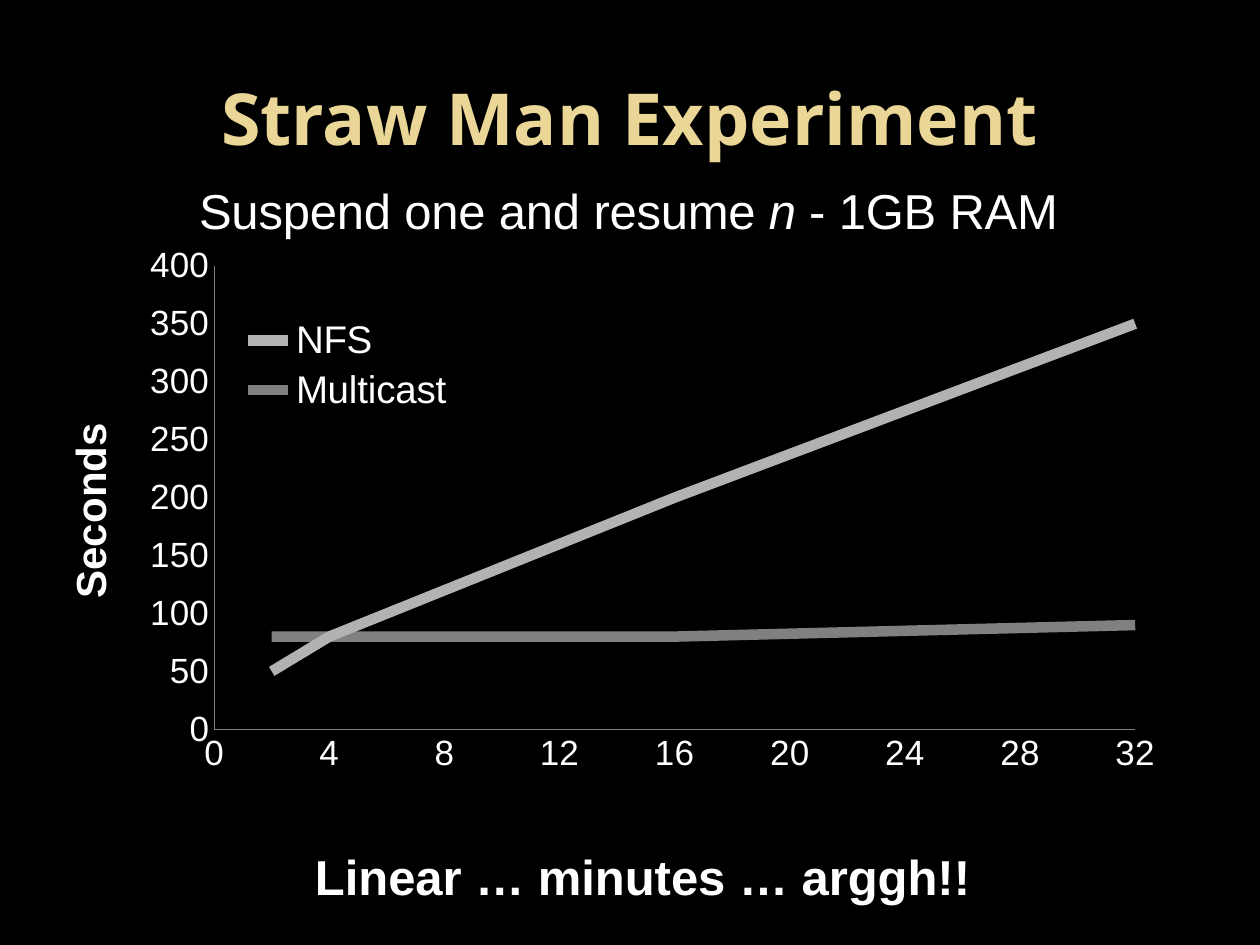
from lxml.etree import SubElement
from pptx import Presentation
from pptx.chart.data import XyChartData
from pptx.dml.color import RGBColor
from pptx.enum.chart import XL_CHART_TYPE, XL_LEGEND_POSITION, XL_TICK_MARK
from pptx.enum.text import MSO_ANCHOR, PP_ALIGN
from pptx.oxml.ns import qn
from pptx.util import Inches, Pt

TITLE = "Straw Man Experiment"
CHART_TITLE = [("Suspend one and resume ", False), ("n", True), (" - 1GB RAM", False)]
VALUE_TITLE = "Seconds"
CONCLUSION = "Linear … minutes … arggh!!"
MACHINES = [2, 4, 8, 16, 32]
SERIES = [
    ("NFS", "B2B2B2", [50, 80, 120, 200, 350]),
    ("Multicast", "808080", [80, 80, 80, 80, 90]),
]
WHITE, GOLD, GREY, BLACK = "FFFFFF", "EAD696", "808080", "000000"
CHART_WIDTH, CHART_HEIGHT = 9.25, 5.25


def color(value):
    return RGBColor.from_string(value)


def style(font, size, bold=False, italic=False, name="Arial", fill=WHITE):
    font.name, font.size, font.bold, font.italic = name, Pt(size), bold, italic
    font.color.rgb = color(fill)


def add_span(para, text, size, **options):
    span = para.add_run()
    span.text = text
    style(span.font, size, **options)


def place(element, inner=False, **inches):
    """Give a chart part a manual layout, in inches from the chart's corner."""
    for old in element.findall(qn("c:layout")):
        element.remove(old)
    layout = SubElement(element, qn("c:layout"))
    overlay = element.find(qn("c:overlay"))
    if overlay is None:
        element.insert(0, layout)
    else:
        overlay.addprevious(layout)
    manual = SubElement(layout, qn("c:manualLayout"))
    if inner:
        SubElement(manual, qn("c:layoutTarget"), val="inner")
    for side in ("x", "y"):
        SubElement(manual, qn(f"c:{side}Mode"), val="edge")
    for side, length in inches.items():
        whole = CHART_WIDTH if side in "xw" else CHART_HEIGHT
        SubElement(manual, qn(f"c:{side}"), val=str(length / whole))


def format_axis(axis, maximum, step):
    axis.minimum_scale, axis.maximum_scale, axis.major_unit = 0, maximum, step
    axis.has_major_gridlines = False
    axis.major_tick_mark = axis.minor_tick_mark = XL_TICK_MARK.NONE
    axis.format.line.color.rgb = color(GREY)
    axis.format.line.width = Pt(0.75)
    style(axis.tick_labels.font, 20)


def add_timing_chart(page):
    data = XyChartData(number_format="0")
    for name, _, seconds in SERIES:
        series = data.add_series(name)
        for point in zip(MACHINES, seconds):
            series.add_data_point(*point)
    chart = page.shapes.add_chart(
        XL_CHART_TYPE.XY_SCATTER_LINES_NO_MARKERS,
        Inches(0.25), Inches(1.33), Inches(CHART_WIDTH), Inches(CHART_HEIGHT), data).chart
    style(chart.font, 10, name="Cambria")
    place(chart._chartSpace.chart.plotArea, inner=True, x=1.45, y=0.78, w=7.31, h=3.68)

    for series, (_, shade, _) in zip(chart.plots[0].series, SERIES):
        series.smooth = False
        series.format.line.color.rgb = color(shade)
        series.format.line.width = Pt(6)

    format_axis(chart.category_axis, 32, 4)
    format_axis(chart.value_axis, 400, 50)

    chart.has_title = True
    for text, italic in CHART_TITLE:
        add_span(chart.chart_title.text_frame.paragraphs[0], text, 28, italic=italic)
    place(chart.chart_title._element, x=1.3, y=0.1)

    value_title = chart.value_axis.axis_title
    add_span(value_title.text_frame.paragraphs[0], VALUE_TITLE, 24, bold=True)
    value_title.text_frame._txBody.bodyPr.set("rot", "-5400000")
    place(value_title._element, x=0.19, y=1.97)

    chart.has_legend = True
    legend = chart.legend
    legend.position = XL_LEGEND_POSITION.RIGHT
    legend.include_in_layout = True
    style(legend.font, 22)
    place(legend._element, x=1.49, y=1.15, w=2.03, h=0.84)


def main():
    deck = Presentation()
    deck.slide_width, deck.slide_height = Inches(10), Inches(7.5)
    page = deck.slides.add_slide(deck.slide_layouts[5])
    page.background.fill.solid()
    page.background.fill.fore_color.rgb = color(BLACK)

    title = page.shapes.title
    title.left, title.top, title.width, title.height = map(Inches, (0.5, 0.3, 9, 1.25))
    title.text_frame.vertical_anchor = MSO_ANCHOR.MIDDLE
    para = title.text_frame.paragraphs[0]
    para.alignment = PP_ALIGN.CENTER
    add_span(para, TITLE, 41, bold=True, name="Open Sans", fill=GOLD)

    add_timing_chart(page)

    box = page.shapes.add_textbox(*map(Inches, (2.25, 6.67, 5.83, 0.58)))
    box.text_frame.word_wrap = True
    box.text_frame.margin_left = Inches(0.25)
    para = box.text_frame.paragraphs[0]
    para.space_before = Pt(5.6)
    add_span(para, CONCLUSION, 28, bold=True)

    deck.save("out.pptx")


if __name__ == "__main__":
    main()
